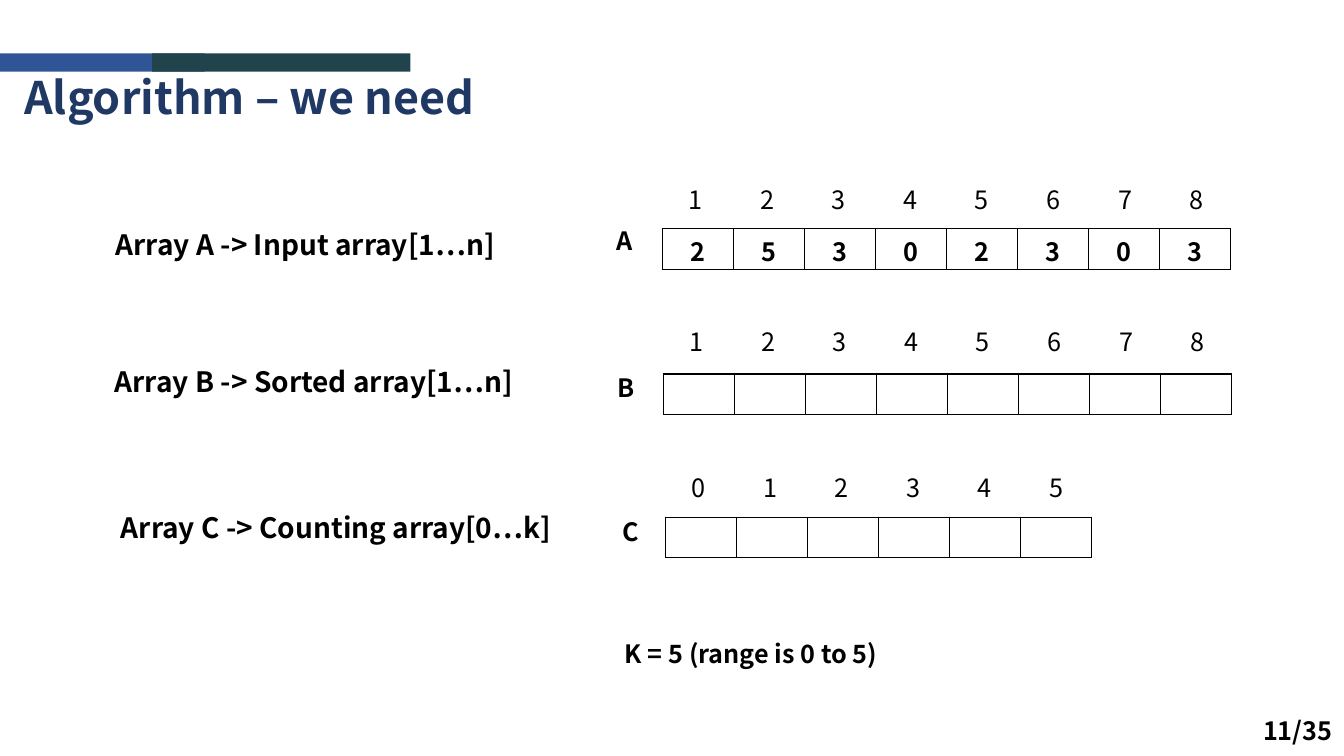
from dataclasses import dataclass

from lxml.etree import SubElement
from pptx import Presentation
from pptx.dml.color import RGBColor
from pptx.enum.shapes import MSO_SHAPE
from pptx.enum.text import MSO_ANCHOR, MSO_AUTO_SIZE, PP_ALIGN
from pptx.oxml.ns import qn
from pptx.slide import Slide
from pptx.table import _Cell
from pptx.text.text import TextFrame
from pptx.util import Inches, Pt

# The slide is a grid of square units, a tenth of an inch each.
COLUMNS, ROWS = 133.3, 75
FONT = "Noto Sans CJK KR"
BLACK, NAVY, BLUE, TEAL = "000000", "203864", "2F5597", "21434B"
CELL_WIDTH, CELL_HEIGHT = 7.04, 4
INDEX_PITCH, INDEX_INSET = 7.1, 1.6
LETTER_WIDTH, LINE_HEIGHT = 3.2, 4


@dataclass(frozen=True)
class Box:
    left: float
    top: float
    width: float
    height: float


@dataclass(frozen=True)
class ArrayRow:
    letter: str
    letter_left: float
    letter_top: float
    caption: str
    caption_box: Box
    table_left: float
    table_top: float
    index_top: float
    first_index: int
    values: tuple[str, ...]


ARRAYS = (
    ArrayRow("A", 60.2, 22.4, "Array A -> Input array[1…n]", Box(10.5, 22.6, 44.9, 4.4),
             65.7, 22.7, 18.3, 1, tuple("25302303")),
    ArrayRow("B", 60.3, 36.9, "Array B -> Sorted array[1…n]", Box(10.4, 36.2, 44.9, 4.4),
             65.8, 37.1, 32.4, 1, ("",) * 8),
    ArrayRow("C", 60.8, 51.2, "Array C -> Counting array[0…k]", Box(11, 50.6, 50.2, 4.4),
             66, 51.3, 46.9, 0, ("",) * 6),
)
ACCENT_BARS = ((Box(0, 5.3, 20.3, 1.8), BLUE), (Box(15.1, 5.3, 25.6, 1.8), TEAL))


def grid(units: float) -> int:
    return Inches(units / 10)


def place(box: Box) -> tuple[int, int, int, int]:
    return grid(box.left), grid(box.top), grid(box.width), grid(box.height)


def color(hex_value: str) -> RGBColor:
    return RGBColor.from_string(hex_value)


def write(frame: TextFrame, text: str, *, size: float = 18, bold: bool = False,
          hex_color: str = BLACK, align: PP_ALIGN = PP_ALIGN.LEFT,
          line_spacing: float = 1.0) -> None:
    paragraph = frame.paragraphs[0]
    paragraph.alignment = align
    paragraph.line_spacing = line_spacing
    run = paragraph.add_run()
    run.text = text
    run.font.name = FONT
    run.font.size = Pt(size)
    run.font.bold = bold
    run.font.color.rgb = color(hex_color)


def prepare_frame(frame: TextFrame, top_margin: float = 0) -> None:
    frame.word_wrap = True
    frame.auto_size = MSO_AUTO_SIZE.NONE
    frame.vertical_anchor = MSO_ANCHOR.TOP
    frame.margin_left = frame.margin_right = grid(1)
    frame.margin_top, frame.margin_bottom = grid(top_margin), 0


def add_text(slide: Slide, box: Box, text: str, *, size: float = 18,
             bold: bool = False) -> None:
    frame = slide.shapes.add_textbox(*place(box)).text_frame
    prepare_frame(frame)
    write(frame, text, size=size, bold=bold)


def add_title(slide: Slide, box: Box, text: str) -> None:
    title = slide.shapes.title
    title.left, title.top, title.width, title.height = place(box)
    prepare_frame(title.text_frame, top_margin=0.4)
    write(title.text_frame, text, size=32, bold=True, hex_color=NAVY, line_spacing=0.9)


def add_bar(slide: Slide, box: Box, hex_color: str) -> None:
    bar = slide.shapes.add_shape(MSO_SHAPE.RECTANGLE, *place(box))
    bar.shadow.inherit = False
    bar.fill.solid()
    bar.fill.fore_color.rgb = color(hex_color)
    bar.line.fill.background()


def outline_cell(cell: _Cell) -> None:
    properties = cell._tc.get_or_add_tcPr()
    for side in ("a:lnL", "a:lnR", "a:lnT", "a:lnB"):
        line = SubElement(properties, qn(side), w=str(Pt(1)))
        fill = SubElement(line, qn("a:solidFill"))
        SubElement(fill, qn("a:srgbClr"), val=BLACK)
    cell.fill.background()


def add_cells(slide: Slide, array: ArrayRow) -> None:
    count = len(array.values)
    box = Box(array.table_left, array.table_top, count * CELL_WIDTH, CELL_HEIGHT)
    table = slide.shapes.add_table(1, count, *place(box)).table
    table.first_row = table.horz_banding = False
    for column, value in enumerate(array.values):
        table.columns[column].width = grid(CELL_WIDTH)
        cell = table.cell(0, column)
        cell.margin_top, cell.margin_bottom = grid(0.38), 0
        outline_cell(cell)
        if value:
            write(cell.text_frame, value, bold=True, align=PP_ALIGN.CENTER)


def add_array(slide: Slide, array: ArrayRow) -> None:
    """Draw the caption, the letter, the cells and the indices above them."""
    add_text(slide, array.caption_box, array.caption, size=20, bold=True)
    letter_box = Box(array.letter_left, array.letter_top, LETTER_WIDTH, LINE_HEIGHT)
    add_text(slide, letter_box, array.letter, bold=True)
    add_cells(slide, array)
    for column in range(len(array.values)):
        left = array.table_left + INDEX_INSET + column * INDEX_PITCH
        index_box = Box(left, array.index_top, LETTER_WIDTH, LINE_HEIGHT)
        add_text(slide, index_box, str(array.first_index + column))


def main() -> None:
    presentation = Presentation()
    presentation.slide_width, presentation.slide_height = grid(COLUMNS), grid(ROWS)
    slide = presentation.slides.add_slide(presentation.slide_layouts[5])
    add_title(slide, Box(1.4, 7.1, 58.7, 6.4), "Algorithm – we need")
    for box, hex_color in ACCENT_BARS:
        add_bar(slide, box, hex_color)
    for array in ARRAYS:
        add_array(slide, array)
    add_text(slide, Box(61, 63.3, 33.7, LINE_HEIGHT), "K = 5 (range is 0 to 5)", bold=True)
    add_text(slide, Box(124.3, 71, 9, LINE_HEIGHT), "11/35", bold=True)
    presentation.save("out.pptx")


if __name__ == "__main__":
    main()
